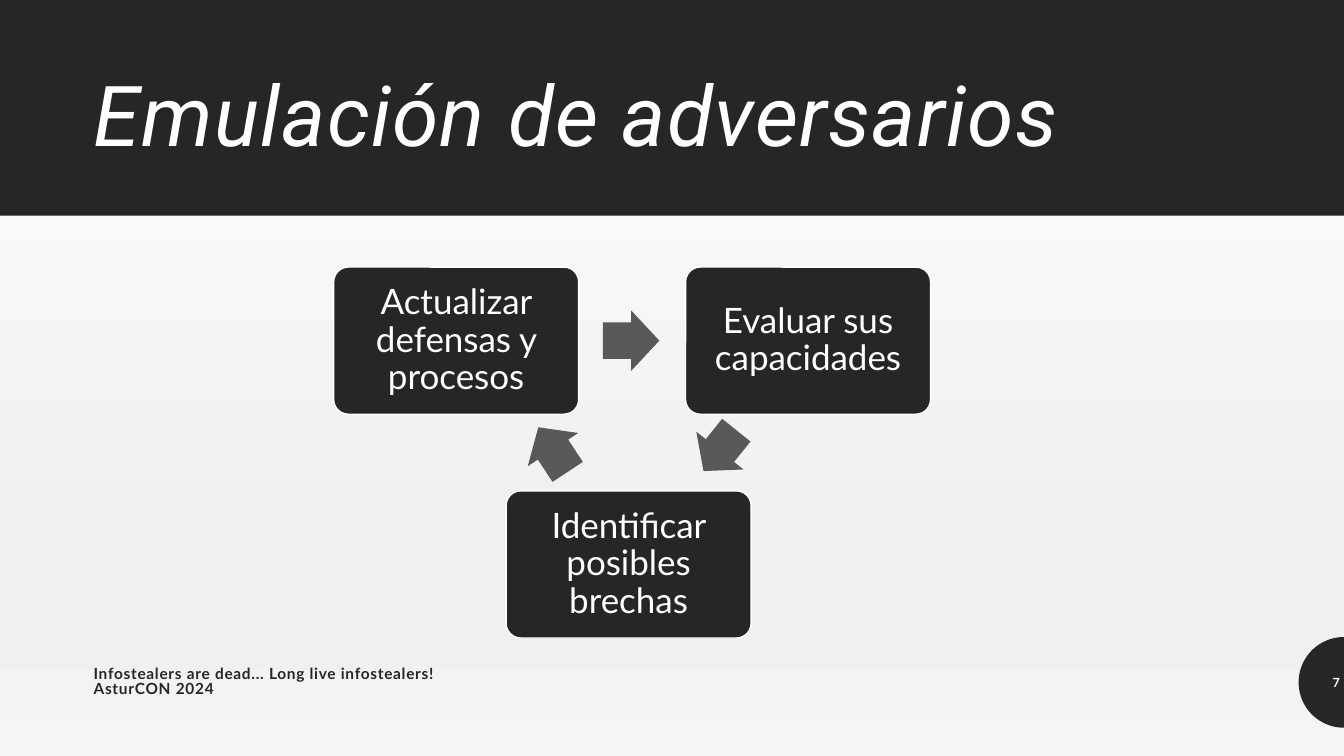
"""Build the slide on adversary emulation: a three-step cycle under a dark title band."""
from copy import deepcopy
from math import cos, pi, sin

from pptx import Presentation
from pptx.dml.color import RGBColor
from pptx.enum.shapes import MSO_SHAPE
from pptx.enum.text import MSO_ANCHOR, MSO_AUTO_SIZE, PP_ALIGN
from pptx.oxml.ns import qn
from pptx.util import Inches, Pt

RECTANGLE = MSO_SHAPE.RECTANGLE
ROUNDED = MSO_SHAPE.ROUNDED_RECTANGLE
ARROW = MSO_SHAPE.RIGHT_ARROW
MIDDLE = MSO_ANCHOR.MIDDLE
LEFT, CENTER, RIGHT = PP_ALIGN.LEFT, PP_ALIGN.CENTER, PP_ALIGN.RIGHT
THEME = {
    "dark": RGBColor.from_string("262626"),
    "arrow": RGBColor.from_string("595959"),
    "white": RGBColor.from_string("FFFFFF"),
    "gradient": [(0, "FDFDFD"), (0.74, "F0F0F0"), (0.83, "F0F0F0"), (1, "F5F5F5")],
    "title": {"name": "Roboto", "size": Pt(60), "italic": True},
    "footer": {"name": "Lato", "size": Pt(11), "bold": True},
    "number": {"name": "Lato", "size": Pt(9), "bold": True},
    "card": {"name": "Lato", "size": Pt(25)},
}


def paint_gradient(fill, element):
    """Give a fill the theme's vertical gradient."""
    fill.gradient()
    fill.gradient_angle = 270
    stop_list = element.find(".//" + qn("a:gsLst"))
    while len(stop_list) < len(THEME["gradient"]):
        stop_list.append(deepcopy(stop_list[0]))
    for stop, (position, color) in zip(fill.gradient_stops, THEME["gradient"]):
        stop.position = position
        stop.color.rgb = RGBColor.from_string(color)


def write(shape, text, style, color, align, line_spacing, inset=(0.1, 0.05), tracking=0):
    """Put one formatted paragraph in a shape."""
    frame = shape.text_frame
    side, top = map(Inches, inset)
    layout = {"word_wrap": True, "auto_size": MSO_AUTO_SIZE.NONE, "vertical_anchor": MIDDLE,
              "margin_left": side, "margin_right": side,
              "margin_top": top, "margin_bottom": top}
    for name, value in layout.items():
        setattr(frame, name, value)
    para = frame.paragraphs[0]
    para.alignment = align
    para.line_spacing = line_spacing
    span = para.add_run()
    span.text = text
    for name, value in THEME[style].items():
        setattr(span.font, name, value)
    span.font.color.rgb = THEME[color]
    if tracking:
        span.font._element.set("spc", str(tracking))


deck = Presentation()
deck.slide_width, deck.slide_height = Inches(13.33), Inches(7.5)
page = deck.slides.add_slide(deck.slide_layouts[5])
shapes = page.shapes
paint_gradient(page.background.fill, page._element)

backdrop = shapes.add_shape(RECTANGLE, 0, 0, deck.slide_width, deck.slide_height)
paint_gradient(backdrop.fill, backdrop._element)
band = shapes.add_shape(RECTANGLE, 0, 0, deck.slide_width, Inches(2.14))
band.fill.solid()
band.fill.fore_color.rgb = THEME["dark"]
for panel in (backdrop, band):
    panel.shadow.inherit = False
    panel.line.fill.background()

title = shapes.title
shapes._spTree.append(title._element)
title.left, title.top = Inches(0.83), Inches(0.46)
title.width, title.height = Inches(11.67), Inches(1.45)
write(title, "Emulación de adversarios", "title", "white", LEFT, 0.9, tracking=100)

footer = shapes.add_textbox(Inches(0.83), Inches(6.57), Inches(4.19), Inches(0.4))
write(footer, "Infostealers are dead... Long live infostealers! AsturCON 2024",
      "footer", "dark", LEFT, 0.8, tracking=50)

radius, center_x, center_y, steps = 0.45, 13.33, 6.77, 48
arc = [(Inches(center_x - radius * sin(pi * i / steps)),
        Inches(center_y - radius * cos(pi * i / steps))) for i in range(steps + 1)]
builder = shapes.build_freeform(*arc[0])
builder.add_line_segments(arc[1:], close=True)
badge = builder.convert_to_shape()
badge.shadow.inherit = False
badge.fill.solid()
badge.fill.fore_color.rgb = THEME["dark"]
badge.line.fill.background()
number = shapes.add_textbox(Inches(12.89), Inches(6.57), Inches(0.45), Inches(0.4))
write(number, "7", "number", "white", RIGHT, 1, inset=(0.05, 0.05))

cycle = [
    ("Actualizar defensas y procesos", 3.31, 2.65, (5.98, 3.08, 0.56, 0)),
    ("Evaluar sus capacidades", 6.8, 2.65, (6.88, 4.17, 0.52, 128.7)),
    ("Identificar posibles brechas", 5.02, 4.87, (5.22, 4.16, 0.53, 236.6)),
]
for text, left, top, (arrow_left, arrow_top, arrow_width, angle) in cycle:
    card = shapes.add_shape(ROUNDED, Inches(left), Inches(top), Inches(2.43), Inches(1.46))
    card.adjustments[0] = 0.1
    card.shadow.inherit = False
    card.fill.solid()
    card.fill.fore_color.rgb = THEME["dark"]
    card.line.color.rgb = THEME["white"]
    card.line.width = Pt(1)
    write(card, text, "card", "white", CENTER, 0.9, inset=(0.13, 0.13))

    arrow = shapes.add_shape(ARROW, Inches(arrow_left), Inches(arrow_top),
                             Inches(arrow_width), Inches(0.6))
    arrow.adjustments[0], arrow.adjustments[1] = 0.6, 0.5
    arrow.rotation = angle
    arrow.shadow.inherit = False
    arrow.fill.solid()
    arrow.fill.fore_color.rgb = THEME["arrow"]
    arrow.line.fill.background()

deck.save("out.pptx")
